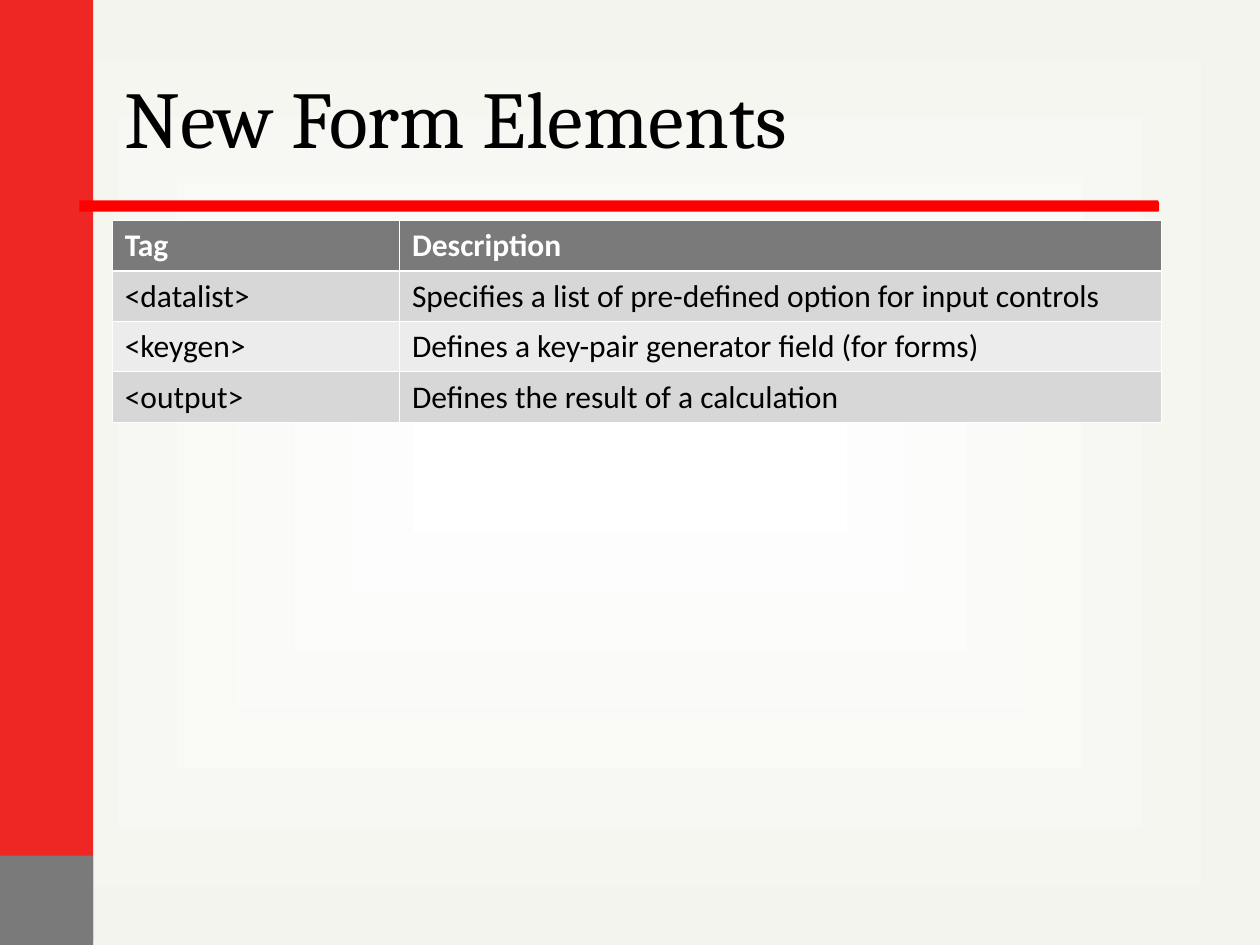
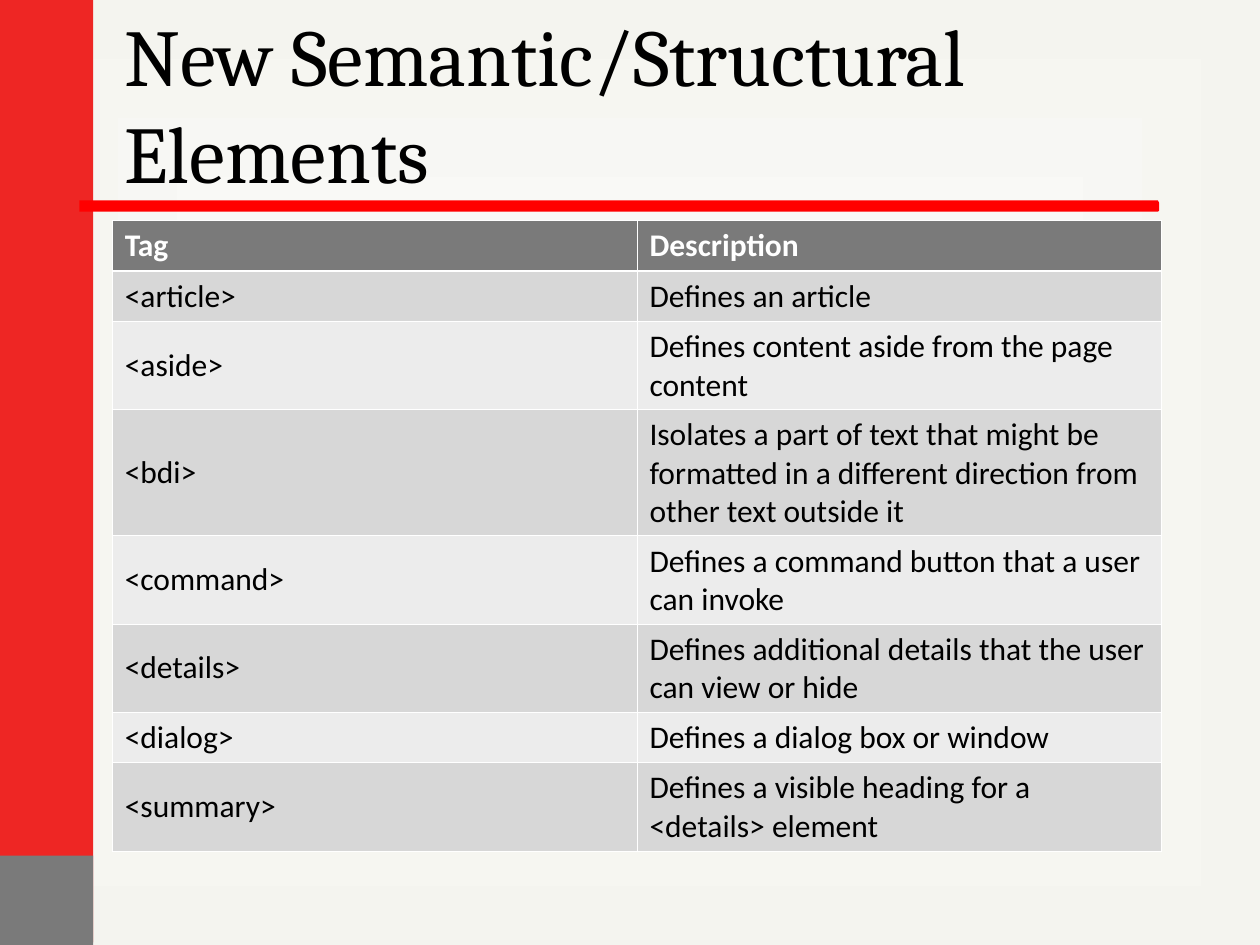
from lxml import etree
from pptx import Presentation
from pptx.dml.color import RGBColor
from pptx.enum.shapes import MSO_SHAPE
from pptx.enum.text import MSO_ANCHOR
from pptx.oxml import parse_xml
from pptx.oxml.ns import qn
from pptx.util import Inches, Pt

RECT = MSO_SHAPE.RECTANGLE
TOP = MSO_ANCHOR.TOP
MIDDLE = MSO_ANCHOR.MIDDLE
NS = "http://schemas.openxmlformats.org/drawingml/2006/main"
PNS = "http://schemas.openxmlformats.org/presentationml/2006/main"

COLORS = {
    "red": "EE2624",
    "rule": "FF0000",
    "gray": "7A7A7A",
    "odd": "D7D7D7",
    "even": "ECECEC",
    "white": "FFFFFF",
    "edge": "F4F4EF",
    "black": "000000",
}
LEFT, WIDTH = 0.89, 8.33
THIN, THICK = 0.45, 1.47


def rgb(name):
    return RGBColor.from_string(COLORS[name])


class Deck:
    def __init__(self):
        self.prs = Presentation()
        self.prs.slide_width = Inches(10)
        self.prs.slide_height = Inches(7.5)
        self.slide = None

    def page(self, title, top):
        self.slide = self.prs.slides.add_slide(self.prs.slide_layouts[6])
        self.glow()
        self.band(-0.02, 7.5, "red")
        self.band(6.79, 0.75, "gray")
        self.rule()
        self.title(title, top)

    def glow(self):
        back = parse_xml(
            f'<p:bg xmlns:p="{PNS}" xmlns:a="{NS}"><p:bgPr><a:gradFill><a:gsLst>'
            f'<a:gs pos="0"><a:srgbClr val="{COLORS["white"]}"/></a:gs>'
            f'<a:gs pos="100000"><a:srgbClr val="{COLORS["edge"]}">'
            '<a:alpha val="70000"/></a:srgbClr></a:gs></a:gsLst>'
            '<a:path path="rect"><a:fillToRect l="50000" t="50000" r="50000" b="50000"/>'
            '</a:path></a:gradFill><a:effectLst/></p:bgPr></p:bg>'
        )
        self.slide.element.cSld.insert(0, back)

    def paint(self, shape, color):
        shape.shadow.inherit = False
        shape.fill.solid()
        shape.fill.fore_color.rgb = rgb(color)
        shape.line.fill.background()

    def band(self, top, height, color):
        shape = self.slide.shapes.add_shape(
            RECT, Inches(-0.01), Inches(top), Inches(0.75), Inches(height))
        self.paint(shape, color)

    def rule(self):
        pen = self.slide.shapes.build_freeform(
            Inches(0.63), Inches(1.59), scale=1.0)
        points = [(9.19, 1.59), (9.2, 1.61), (9.2, 1.67), (9.19, 1.68), (0.63, 1.68)]
        pen.add_line_segments([(Inches(x), Inches(y)) for x, y in points])
        self.paint(pen.convert_to_shape(), "rule")

    def font(self, par, name, size, color, bold=False):
        par.font.name = name
        par.font.size = Pt(size)
        par.font.color.rgb = rgb(color)
        par.font.bold = bold

    def title(self, text, top):
        box = self.slide.shapes.add_textbox(
            Inches(LEFT), Inches(top), Inches(WIDTH), Inches(1.25))
        frame = box.text_frame
        frame.word_wrap = True
        frame.vertical_anchor = MIDDLE
        frame.text = text
        self.font(frame.paragraphs[0], "Cambria", 46, "black")

    def edge(self, cell, side, width):
        line = etree.SubElement(
            cell._tc.get_or_add_tcPr(), qn(f"a:ln{side}"), w=str(Pt(width)))
        fill = etree.SubElement(line, qn("a:solidFill"))
        etree.SubElement(fill, qn("a:srgbClr"), val=COLORS["white"])

    def cell(self, cell, text, row, anchor):
        head = row == 0
        cell.text = text
        cell.vertical_anchor = anchor
        cell.margin_left = cell.margin_right = Inches(0.1)
        cell.margin_top = cell.margin_bottom = Inches(0.05)
        self.font(cell.text_frame.paragraphs[0], "Calibri", 18,
                  "white" if head else "black", head)
        self.edge(cell, "L", THIN)
        self.edge(cell, "R", THIN)
        self.edge(cell, "T", THICK if row == 1 else THIN)
        self.edge(cell, "B", THICK if head else THIN)
        cell.fill.solid()
        cell.fill.fore_color.rgb = rgb(
            "gray" if head else "odd" if row % 2 else "even")

    def table(self, tags, split, anchor):
        rows = [("Tag", "Description", 1)] + tags
        heights = [Inches(0.1 + 0.3 * lines) for _, _, lines in rows]
        grid = self.slide.shapes.add_table(
            len(rows), 2, Inches(LEFT), Inches(1.75),
            Inches(WIDTH), sum(heights)).table
        grid.columns[0].width = Inches(split)
        grid.columns[1].width = Inches(WIDTH - split)
        for row, (tag, about, _) in enumerate(rows):
            grid.rows[row].height = heights[row]
            for col, text in enumerate((tag, about)):
                self.cell(grid.cell(row, col), text, row, anchor)


FORMS = [
    ("<datalist>", "Specifies a list of pre-defined option for input controls", 1),
    ("<keygen>", "Defines a key-pair generator field (for forms)", 1),
    ("<output>", "Defines the result of a calculation", 1),
]
PARTS = [
    ("<article>", "Defines an article", 1),
    ("<aside>", "Defines content aside from the page content", 2),
    ("<bdi>", "Isolates a part of text that might be formatted in a "
              "different direction from other text outside it", 3),
    ("<command>", "Defines a command button that a user can invoke", 2),
    ("<details>", "Defines additional details that the user can view or hide", 2),
    ("<dialog>", "Defines a dialog box or window", 1),
    ("<summary>", "Defines a visible heading for a <details> element", 2),
]


def main():
    deck = Deck()
    deck.page("New Form Elements", 0.3)
    deck.table(FORMS, 2.28, TOP)
    deck.page("New Semantic/Structural Elements", 0.19)
    deck.table(PARTS, WIDTH / 2, MIDDLE)
    deck.prs.save("out.pptx")


if __name__ == "__main__":
    main()
